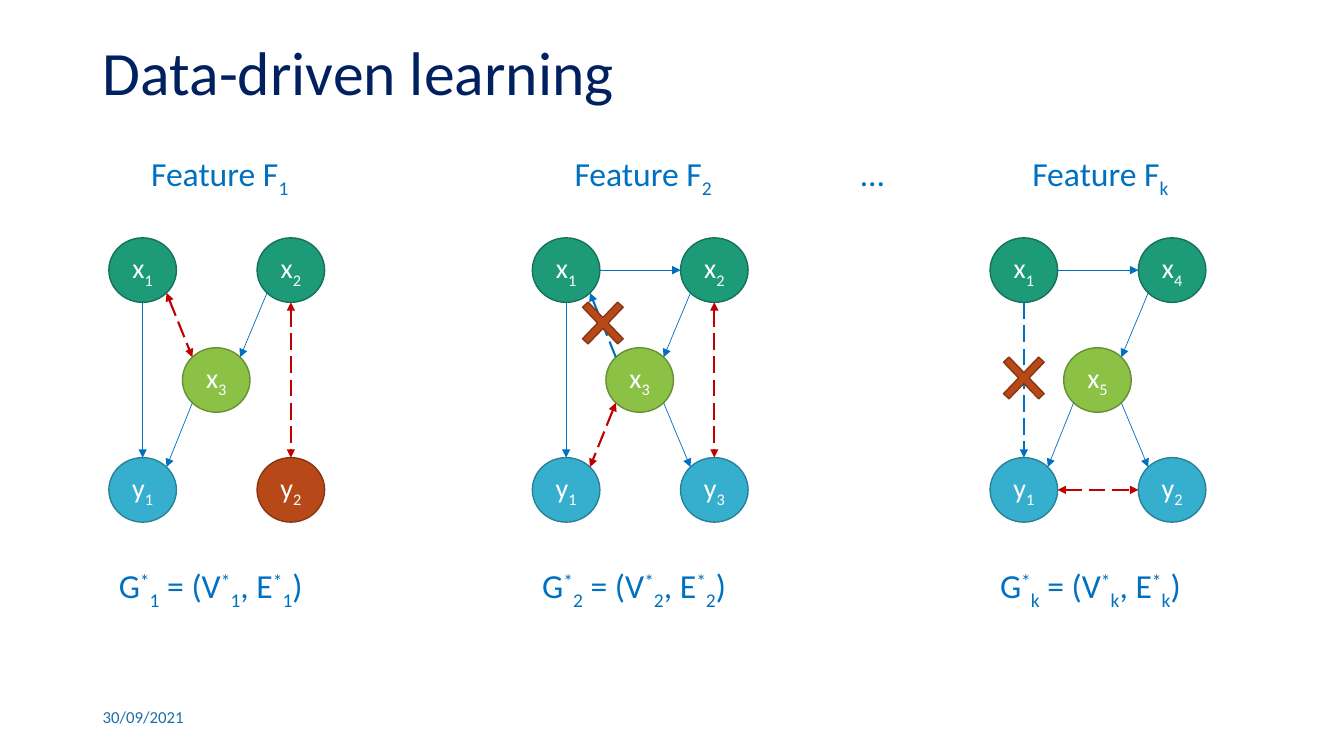
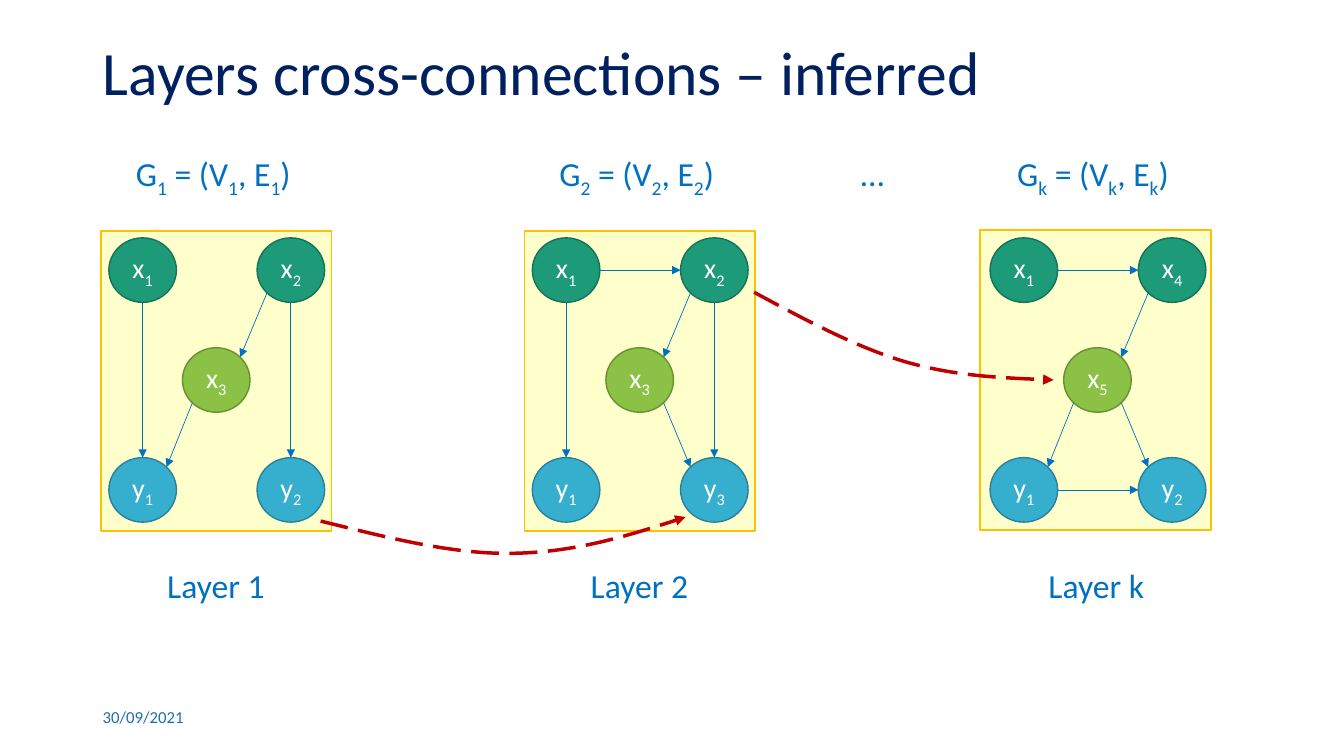
from lxml.etree import SubElement
from pptx import Presentation
from pptx.dml.color import RGBColor
from pptx.enum.dml import MSO_LINE
from pptx.enum.shapes import MSO_CONNECTOR, MSO_SHAPE
from pptx.enum.text import MSO_ANCHOR, MSO_AUTO_SIZE, PP_ALIGN
from pptx.oxml.ns import qn
from pptx.util import Inches, Pt

NAVY = RGBColor(0x00, 0x20, 0x60)
BLUE = RGBColor(0x00, 0x70, 0xC0)
DATE_BLUE = RGBColor(0x1D, 0x6F, 0xA9)
RED = RGBColor(0xC0, 0x00, 0x00)
WHITE = RGBColor(0xFF, 0xFF, 0xFF)
CREAM = RGBColor(0xFF, 0xFF, 0xCC)
GOLD = RGBColor(0xFF, 0xC0, 0x00)
GREEN = (RGBColor(0x1D, 0x9A, 0x78), RGBColor(0x15, 0x72, 0x59))
LIME = (RGBColor(0x8B, 0xC1, 0x45), RGBColor(0x67, 0x8F, 0x33))
CYAN = (RGBColor(0x36, 0xAF, 0xCE), RGBColor(0x28, 0x81, 0x98))
RUST = (RGBColor(0xB7, 0x49, 0x19), RGBColor(0x87, 0x36, 0x12))

FONT = "Calibri"
BASELINES = {"_": -25000, "^": 30000}
NODE_WIDTH, NODE_HEIGHT = 0.67, 0.64
NODE_SPOTS = {
    "nw": (0, 2.36, GREEN),
    "ne": (1.47, 2.36, GREEN),
    "mid": (0.73, 3.45, LIME),
    "sw": (0, 4.54, CYAN),
    "se": (1.47, 4.54, CYAN),
}
ORIGINS = (1.08, 5.28, 9.82)
FRAMES = ((1, 2.29), (5.2, 2.29), (9.72, 2.28))
INDICES = ("1", "2", "k")
NODE_LABELS = ("x_1 x_2 x_3 y_1 y_2", "x_1 x_2 x_3 y_1 y_3", "x_1 x_4 x_5 y_1 y_2")
HEADING_TOP, CAPTION_TOP = 1.47, 5.56

LEARNED = (
    {"solid": "nw>sw ne>mid mid>sw", "mutual": "ne>se nw>mid", "odd": "se"},
    {"solid": "nw>sw ne>mid mid>se nw>ne", "mutual": "ne>se mid>sw", "rejected": "mid>nw"},
    {"solid": "mid>sw ne>mid nw>ne mid>se", "mutual": "sw>se", "rejected": "nw>sw"},
)
INFERRED = (
    {"solid": "nw>sw ne>mid ne>se mid>sw"},
    {"solid": "nw>sw ne>mid ne>se mid>se nw>ne"},
    {"solid": "mid>sw ne>mid sw>se nw>ne mid>se"},
)
CROSS_LINKS = (
    ((3.18, 5.17), (3.83, 5.33), (4.48, 5.5), (5.08, 5.49),
     (5.69, 5.48), (6.25, 5.31), (6.8, 5.13)),
    ((7.48, 2.9), (7.98, 3.17), (8.48, 3.44), (8.98, 3.59),
     (9.47, 3.73), (9.96, 3.75), (10.45, 3.77)),
)


def sign(value):
    """Return -1, 0 or 1 for the direction of a value."""
    return (value > 0) - (value < 0)


class Deck:
    """Holds the shared style and the current slide."""

    def __init__(self):
        """Start an empty widescreen presentation."""
        self.presentation = Presentation()
        self.presentation.slide_width = Inches(13.33)
        self.presentation.slide_height = Inches(7.5)
        self.slide = None

    def add_slide(self, title):
        """Add a slide with its title and date."""
        self.slide = self.presentation.slides.add_slide(self.presentation.slide_layouts[5])
        shape = self.slide.shapes.title
        shape.left, shape.top = Inches(0.92), Inches(0.36)
        shape.width, shape.height = Inches(11.5), Inches(0.77)
        frame = shape.text_frame
        frame.auto_size = MSO_AUTO_SIZE.NONE
        frame.vertical_anchor = MSO_ANCHOR.MIDDLE
        self.set_text(frame, title, 44, NAVY)
        frame.paragraphs[0].line_spacing = 0.9
        date = self.slide.shapes.add_textbox(Inches(0.92), Inches(6.95), Inches(3), Inches(0.33))
        date.text_frame.word_wrap = True
        date.text_frame.vertical_anchor = MSO_ANCHOR.MIDDLE
        self.set_text(date.text_frame, "30/09/2021", 12, DATE_BLUE)

    def set_text(self, frame, text, size, color, alignment=PP_ALIGN.LEFT):
        """Fill one paragraph, where _ lowers and ^ raises the next character."""
        paragraph = frame.paragraphs[0]
        paragraph.alignment = alignment
        paragraph.font.name = FONT
        paragraph.font.size = Pt(size)
        paragraph.font.color.rgb = color
        pieces, baseline = [], 0
        for character in text:
            if character in BASELINES:
                baseline = BASELINES[character]
                continue
            if pieces and pieces[-1][1] == baseline:
                pieces[-1][0] += character
            else:
                pieces.append([character, baseline])
            baseline = 0
        for piece, baseline in pieces:
            run = paragraph.add_run()
            run.text = piece
            if baseline:
                run._r.get_or_add_rPr().set("baseline", str(baseline))

    def label(self, text, left, top, width):
        """Add a blue one-line label."""
        box = self.slide.shapes.add_textbox(Inches(left), Inches(top), Inches(width), Inches(0.5))
        box.text_frame.word_wrap = False
        box.text_frame.auto_size = MSO_AUTO_SIZE.SHAPE_TO_FIT_TEXT
        self.set_text(box.text_frame, text, 24, BLUE)

    def shape(self, kind, left, top, width, height, colors):
        """Add a preset shape with a fill and a thin outline."""
        shape = self.slide.shapes.add_shape(
            kind, Inches(left), Inches(top), Inches(width), Inches(height))
        shape.shadow.inherit = False
        shape.fill.solid()
        shape.fill.fore_color.rgb, shape.line.color.rgb = colors
        shape.line.width = Pt(1)
        return shape

    def node(self, text, left, top, colors):
        """Add a round graph node."""
        shape = self.shape(MSO_SHAPE.OVAL, left, top, NODE_WIDTH, NODE_HEIGHT, colors)
        shape.text_frame.vertical_anchor = MSO_ANCHOR.MIDDLE
        self.set_text(shape.text_frame, text, 20, WHITE, PP_ALIGN.CENTER)

    def cross(self, x, y):
        """Add a rejection cross around a point."""
        shape = self.shape(MSO_SHAPE.MATH_MULTIPLY, x - 0.335, y - 0.37, 0.67, 0.7, RUST)
        shape.adjustments[0] = 0.112

    def stroke(self, line_shape, color, width, dashed, ends=("tailEnd",)):
        """Style a line and add its arrowheads."""
        line_shape.line.color.rgb = color
        line_shape.line.width = Pt(width)
        if dashed:
            line_shape.line.dash_style = MSO_LINE.LONG_DASH
        properties = line_shape._element.spPr
        for end in ends:
            SubElement(properties.find(qn("a:ln")), qn(f"a:{end}"), type="triangle")
        SubElement(properties, qn("a:effectLst"))

    def edge(self, origin, route, color=BLUE, width=0.5, dashed=False, ends=("tailEnd",)):
        """Join two nodes along their facing sides and return the midpoint."""
        (x1, y1), (x2, y2) = (
            (origin + NODE_SPOTS[name][0] + NODE_WIDTH / 2, NODE_SPOTS[name][1] + NODE_HEIGHT / 2)
            for name in route.split(">"))
        across, down = sign(x2 - x1), sign(y2 - y1)
        reach = 0.5 ** 0.5 if across and down else 1
        dx = across * reach * NODE_WIDTH / 2
        dy = down * reach * NODE_HEIGHT / 2
        connector = self.slide.shapes.add_connector(
            MSO_CONNECTOR.STRAIGHT, Inches(x1 + dx), Inches(y1 + dy),
            Inches(x2 - dx), Inches(y2 - dy))
        self.stroke(connector, color, width, dashed, ends)
        return (x1 + x2) / 2, (y1 + y2) / 2

    def graph(self, origin, labels, solid, mutual="", rejected="", odd=None):
        """Draw five nodes and their edges."""
        for text, (name, (offset, top, colors)) in zip(labels.split(), NODE_SPOTS.items()):
            self.node(text, origin + offset, top, RUST if name == odd else colors)
        for route in solid.split():
            self.edge(origin, route)
        for route in mutual.split():
            self.edge(origin, route, RED, 1.5, True, ("headEnd", "tailEnd"))
        for route in rejected.split():
            self.cross(*self.edge(origin, route, BLUE, 1.5, True))

    def curve(self, points):
        """Draw a dashed red arrow along cubic curves."""
        start, *rest = [(Inches(x), Inches(y)) for x, y in points]
        builder = self.slide.shapes.build_freeform(*start)
        builder.add_line_segments(rest, close=False)
        shape = builder.convert_to_shape()
        outline = next(shape._element.iter(qn("a:moveTo"))).getparent()
        for position, segment in enumerate(outline.findall(qn("a:lnTo"))):
            if position % 3 == 0:
                bend = SubElement(outline, qn("a:cubicBezTo"))
            bend.append(segment[0])
            outline.remove(segment)
        shape.fill.background()
        self.stroke(shape, RED, 2.5, True)

    def graph_row(self, graphs, heading, heading_place, caption, caption_place):
        """Draw the three graphs with their headings and captions."""
        for origin, index, labels, graph in zip(ORIGINS, INDICES, NODE_LABELS, graphs):
            self.graph(origin, labels, **graph)
            for text, (offset, width), top in (
                    (heading, heading_place, HEADING_TOP), (caption, caption_place, CAPTION_TOP)):
                self.label(text.replace("#", index), origin + offset, top, width)
        self.label("…", 8.44, HEADING_TOP, 0.44)


def main():
    """Build and save both slides."""
    deck = Deck()
    deck.add_slide("Data-driven learning")
    deck.graph_row(LEARNED, "Feature F_#", (0.32, 1.59),
                   "G^*_# = (V^*_#, E^*_#)", (0, 2.13))

    deck.add_slide("Layers cross-connections – inferred")
    for left, top in FRAMES:
        deck.shape(MSO_SHAPE.RECTANGLE, left, top, 2.29, 2.98, (CREAM, GOLD))
    deck.graph_row(INFERRED, "G_# = (V_#, E_#)", (0.17, 1.79), "Layer #", (0.48, 1.18))
    for points in CROSS_LINKS:
        deck.curve(points)
    deck.presentation.save("out.pptx")


if __name__ == "__main__":
    main()
